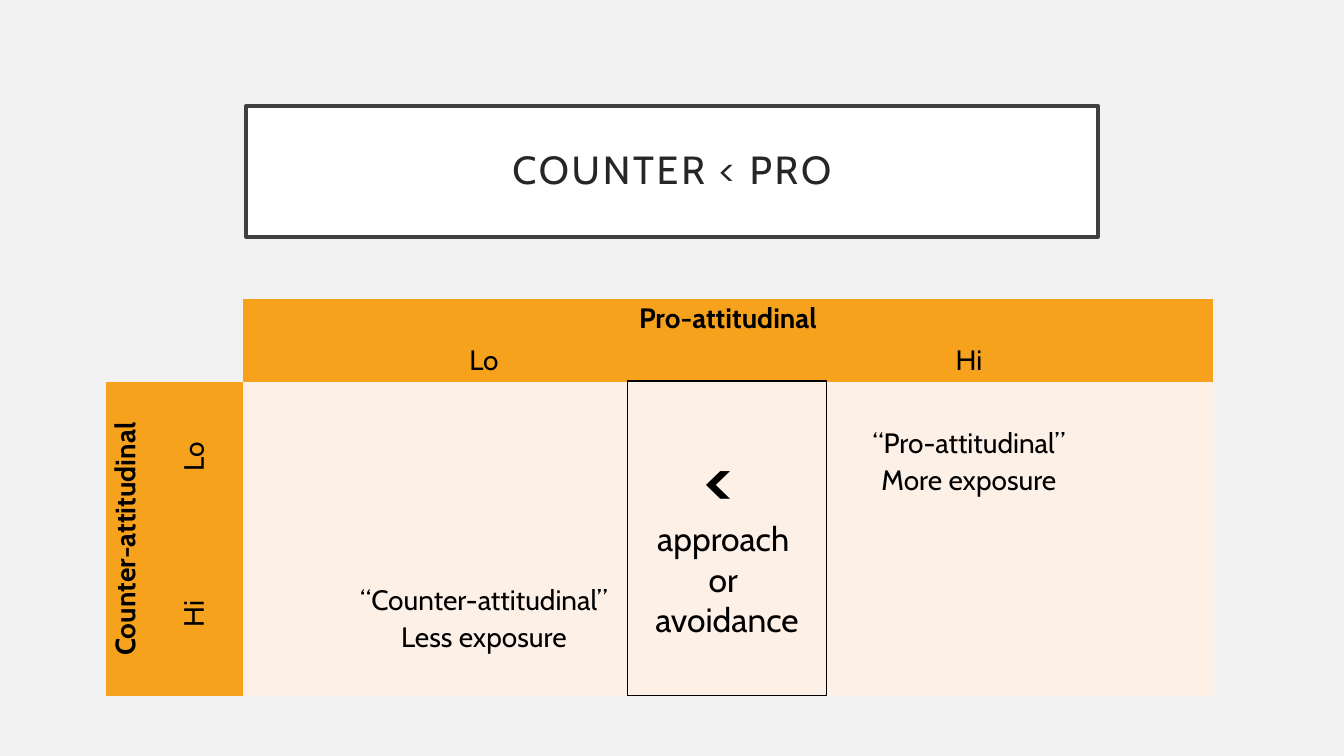
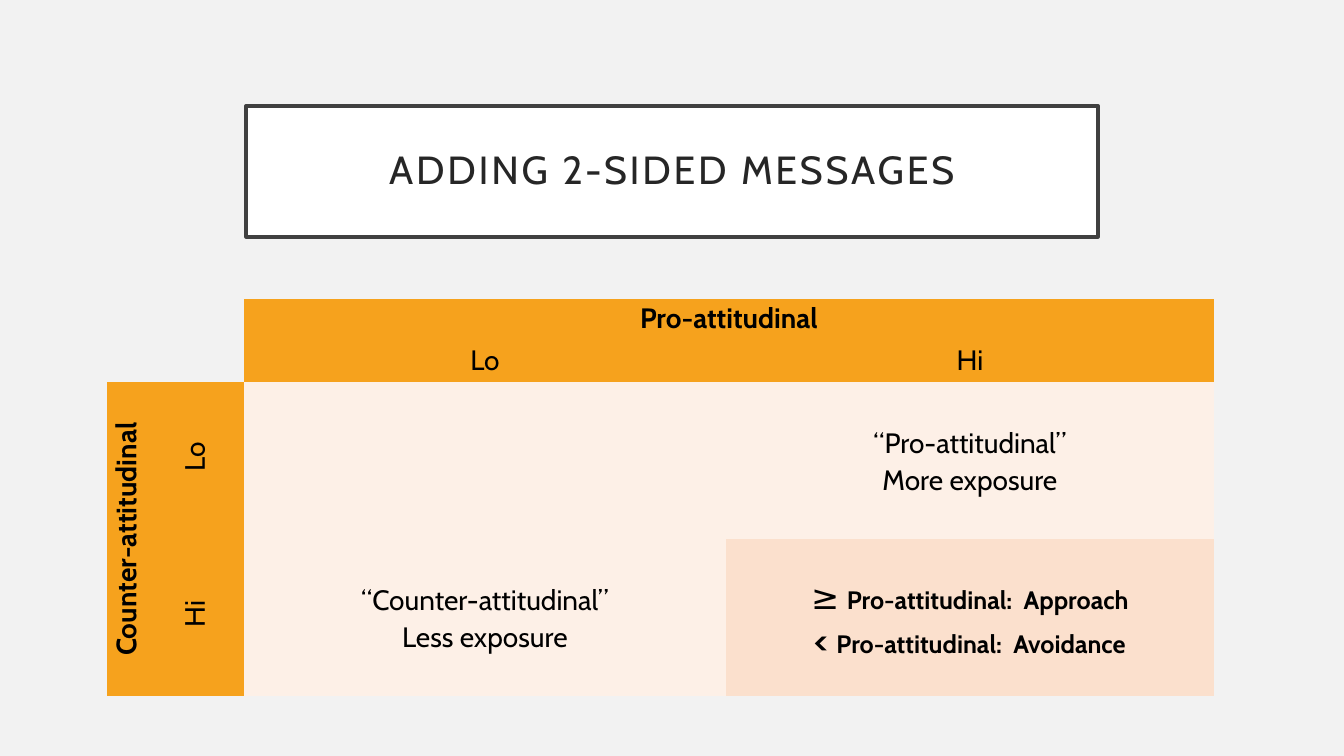
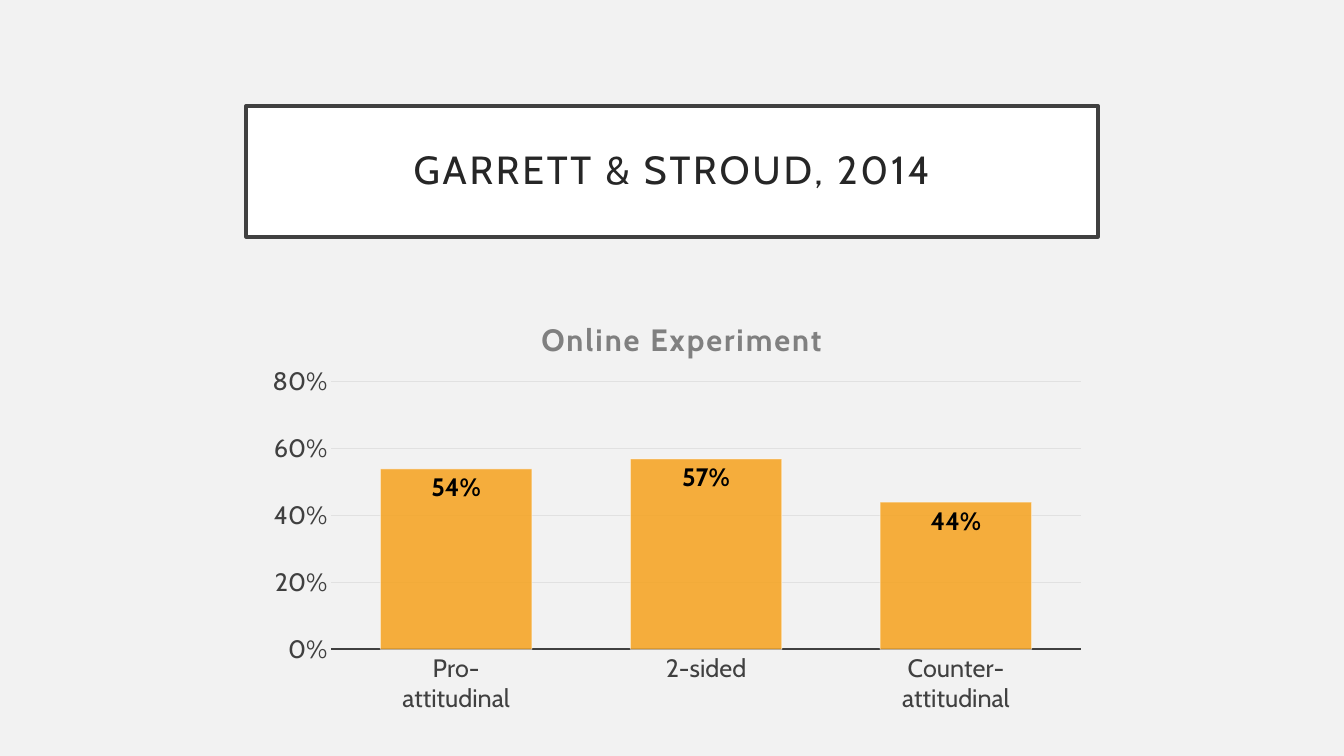
from lxml.etree import SubElement
from pptx import Presentation
from pptx.chart.data import CategoryChartData
from pptx.dml.color import RGBColor
from pptx.enum.chart import XL_CHART_TYPE, XL_LABEL_POSITION, XL_TICK_MARK
from pptx.enum.shapes import MSO_SHAPE
from pptx.enum.text import MSO_ANCHOR, PP_ALIGN
from pptx.oxml import parse_xml
from pptx.oxml.ns import nsdecls, qn
from pptx.util import Inches, Pt

FONT = "Cabin"
BACK = RGBColor(0xF2, 0xF2, 0xF2)
WHITE = RGBColor(0xFF, 0xFF, 0xFF)
BLACK = RGBColor(0, 0, 0)
INK = RGBColor(0x26, 0x26, 0x26)
DARK = RGBColor(0x40, 0x40, 0x40)
GRAY = RGBColor(0x80, 0x80, 0x80)
GRID = RGBColor(0xE1, 0xE1, 0xE1)
ORANGE = RGBColor(0xF6, 0xA2, 0x1D)
CREAM = RGBColor(0xFD, 0xF0, 0xE7)
PEACH = RGBColor(0xFB, 0xE0, 0xCD)
PLAIN = "{2D5ABB26-0587-4C30-8999-92F81FD0307C}"  # table style without lines

# Content: a paragraph is a list of (text, size, bold) runs
COLS = [0.68, 0.68, 4.78, 4.84]
ROWS = [0.41, 0.41, 1.56, 1.56]
MERGES = [((0, 0), (1, 1)), ((0, 2), (0, 3)), ((2, 0), (3, 0))]
CELLS = {
    (0, 2): [[("Pro-attitudinal", 20, True)]],
    (1, 2): [[("Lo", 20, False)]],
    (1, 3): [[("Hi", 20, False)]],
    (2, 0): [[("Counter-attitudinal", 20, True)]],
    (2, 1): [[("Lo", 20, False)]],
    (3, 1): [[("Hi", 20, False)]],
    (2, 3): [[("“Pro-attitudinal”", 20, False)], [("More exposure", 20, False)]],
    (3, 2): [[("“Counter-attitudinal”", 20, False)], [("Less exposure", 20, False)]],
}
TWO_SIDED = [
    [("≥ ", 24, False), ("Pro-attitudinal:  Approach", 18, True)],
    [("< ", 24, True), ("Pro-attitudinal:  Avoidance", 18, True)],
]
COMPARE = [
    [("< ", 48, True)],
    [("approach ", 24, False)],
    [("or ", 24, False)],
    [("avoidance", 24, False)],
]
CHART = "Online Experiment"
BARS = [("Pro-\nattitudinal", 0.54), ("2-sided", 0.57), ("Counter-\nattitudinal", 0.44)]


def style(font, size, color, bold=False):
    font.name, font.size, font.bold = FONT, Pt(size), bold
    font.color.rgb = color


def write(frame, paras, color=BLACK, space=None, indent=0):
    for i, runs in enumerate(paras):
        para = frame.paragraphs[0] if i == 0 else frame.add_paragraph()
        para.alignment = PP_ALIGN.CENTER
        para.line_spacing = space
        if indent:
            para._p.get_or_add_pPr().set("marL", str(Inches(indent)))
        for text, size, bold in runs:
            run = para.add_run()
            run.text = text
            style(run.font, size, color, bold)


def add_box(slide, at, line, width, fill=None):
    box = slide.shapes.add_shape(MSO_SHAPE.RECTANGLE, *map(Inches, at))
    box.shadow.inherit = False
    if fill is None:
        box.fill.background()
    else:
        box.fill.solid()
        box.fill.fore_color.rgb = fill
    box.line.color.rgb, box.line.width = line, Pt(width)
    box.text_frame.vertical_anchor = MSO_ANCHOR.MIDDLE
    return box


def add_slide(deck, title):
    slide = deck.slides.add_slide(deck.slide_layouts[6])
    slide.background.fill.solid()
    slide.background.fill.fore_color.rgb = BACK
    frame = add_box(slide, (2.44, 1.05, 8.45, 1.3), DARK, 2.5, WHITE).text_frame
    frame.word_wrap = True
    frame.margin_left = frame.margin_right = Inches(0.2)
    frame.margin_top = frame.margin_bottom = Inches(0.2)
    write(frame, [[(title, 28, False)]], INK, 0.9)
    frame.paragraphs[0].runs[0]._r.get_or_add_rPr().set("spc", "200")
    return slide


def add_matrix(slide, left, extra):
    table = slide.shapes.add_table(
        len(ROWS), len(COLS), Inches(left), Inches(2.97),
        Inches(sum(COLS)), Inches(sum(ROWS))).table
    table.first_row = table.horz_banding = False
    table._tbl.tblPr.find(qn("a:tableStyleId")).text = PLAIN
    for col, size in zip(table.columns, COLS):
        col.width = Inches(size)
    for row, size in zip(table.rows, ROWS):
        row.height = Inches(size)
    for start, end in MERGES:
        table.cell(*start).merge(table.cell(*end))

    texts = CELLS | extra
    for r in range(len(ROWS)):
        for c in range(len(COLS)):
            cell = table.cell(r, c)
            cell.margin_left = cell.margin_right = Inches(0.14)
            cell.margin_top = cell.margin_bottom = 0
            if r < 2 and c < 2:
                cell.fill.background()
                continue
            cell.fill.solid()
            head = r < 2 or c < 2
            cell.fill.fore_color.rgb = (
                ORANGE if head else PEACH if (r, c) in extra else CREAM)
            if r > 1:
                cell.vertical_anchor = MSO_ANCHOR.MIDDLE
                if c < 2:
                    cell._tc.get_or_add_tcPr().set("vert", "vert270")
            write(cell.text_frame, texts.get((r, c), []), BLACK, 1.07,
                  0.08 if r > 1 and c == 1 else 0)


def place(part, index, **spots):
    """Fix the place of a chart part, in shares of the chart."""
    old = part.find(qn("c:layout"))
    if old is not None:
        part.remove(old)
    layout = parse_xml(f"<c:layout {nsdecls('c')}><c:manualLayout/></c:layout>")
    if "w" in spots:
        SubElement(layout[0], qn("c:layoutTarget")).set("val", "inner")
    for key in ("xMode", "yMode"):
        SubElement(layout[0], qn(f"c:{key}")).set("val", "edge")
    for key, val in spots.items():
        SubElement(layout[0], qn(f"c:{key}")).set("val", str(val))
    part.insert(index, layout)


def set_alpha(fill, share):
    color = fill._xPr.find(qn("a:solidFill"))[0]
    SubElement(color, qn("a:alpha")).set("val", str(share * 1000))


def add_bars(slide):
    data = CategoryChartData(number_format="0%")
    data.categories = [name for name, _ in BARS]
    data.add_series("Series 1", [val for _, val in BARS])
    chart = slide.shapes.add_chart(
        XL_CHART_TYPE.COLUMN_CLUSTERED, Inches(2.44), Inches(2.89),
        Inches(8.45), Inches(4.28), data).chart
    style(chart.font, 18, BLACK)
    chart.has_legend = False

    # Chart title
    frame = chart.chart_title.text_frame
    write(frame, [[(CHART, 22, True)]], GRAY)
    frame.paragraphs[0].runs[0]._r.get_or_add_rPr().set("spc", "150")
    place(chart.chart_title._element, 1, x=0.34, y=0.05)
    place(chart._chartSpace.chart.plotArea, 0, x=0.1, y=0.21, w=0.88, h=0.62)

    # Axes
    cat, val = chart.category_axis, chart.value_axis
    for axis in (cat, val):
        style(axis.tick_labels.font, 18, DARK)
        axis.major_tick_mark = XL_TICK_MARK.NONE
    cat.format.line.color.rgb, cat.format.line.width = DARK, Pt(1.5)
    val.format.line.fill.background()
    val.minimum_scale, val.maximum_scale, val.major_unit = 0, 0.8, 0.2
    val.tick_labels.number_format = "0%"
    val.tick_labels.number_format_is_linked = False
    grid = val.major_gridlines.format.line
    grid.color.rgb, grid.width = GRID, Pt(0.75)

    # Bars and labels
    plot = chart.plots[0]
    plot.gap_width, plot.vary_by_categories = 65, False
    bars = plot.series[0].format
    bars.fill.solid()
    bars.fill.fore_color.rgb = ORANGE
    set_alpha(bars.fill, 85)
    bars.line.color.rgb, bars.line.width = WHITE, Pt(0.75)
    set_alpha(bars.line.fill, 50)
    plot.has_data_labels = True
    labels = plot.data_labels
    labels.show_value = True
    labels.position = XL_LABEL_POSITION.INSIDE_END
    labels.number_format, labels.number_format_is_linked = "0%", False
    style(labels.font, 18, BLACK, True)


def main():
    deck = Presentation()
    deck.slide_width, deck.slide_height = Inches(13.33), Inches(7.5)

    # Counter against pro
    slide = add_slide(deck, "COUNTER < PRO")
    add_matrix(slide, 1.05, {})
    box = add_box(slide, (6.22, 3.78, 1.98, 3.12), BLACK, 0.75)
    box.text_frame.word_wrap = False
    write(box.text_frame, COMPARE)

    # Two-sided messages
    slide = add_slide(deck, "ADDING 2-SIDED MESSAGES")
    add_matrix(slide, 1.06, {(3, 3): TWO_SIDED})

    # Experiment results
    add_bars(add_slide(deck, "GARRETT & STROUD, 2014"))
    deck.save("out.pptx")


if __name__ == "__main__":
    main()
